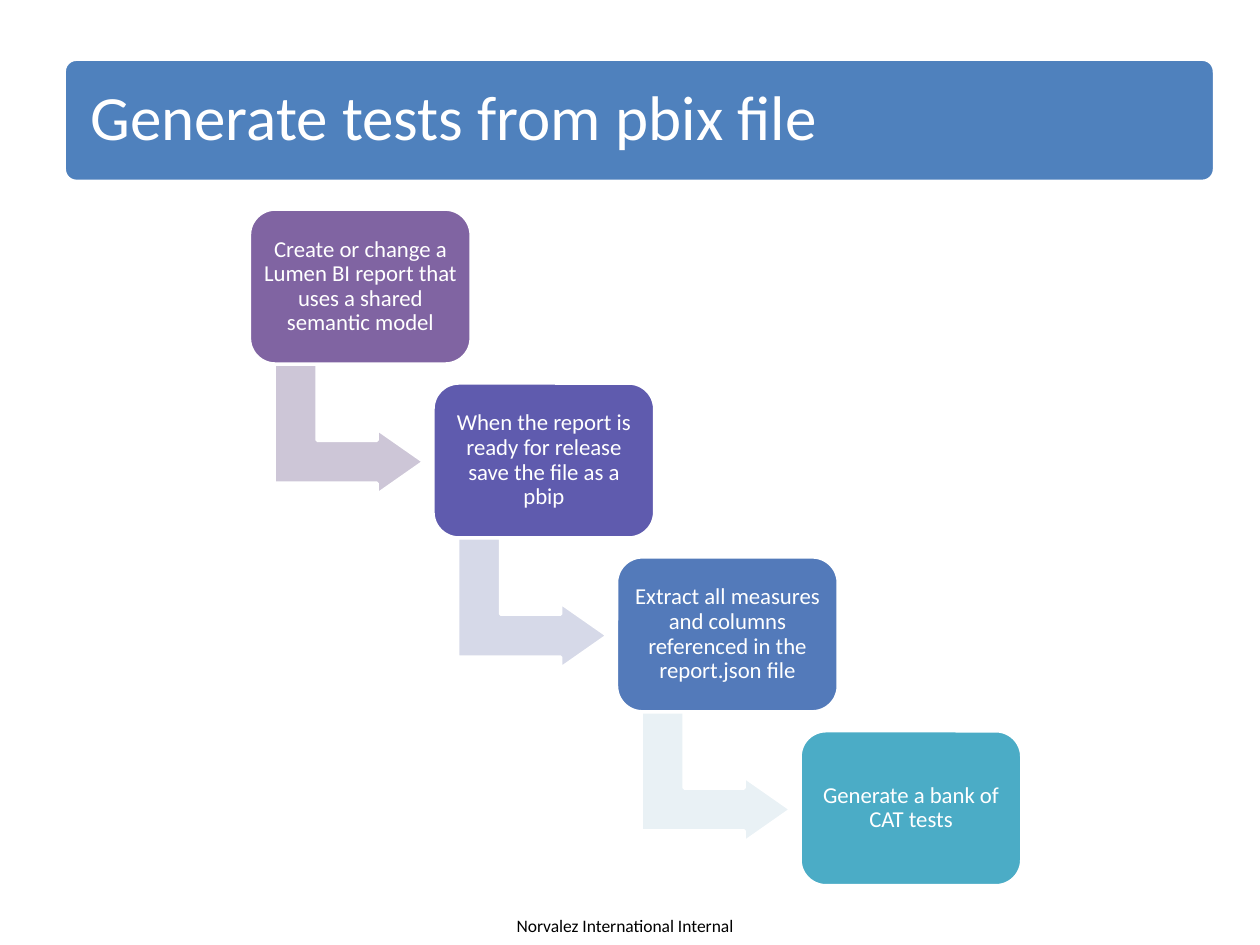
from dataclasses import dataclass

from pptx import Presentation
from pptx.dml.color import RGBColor
from pptx.enum.shapes import MSO_SHAPE
from pptx.enum.text import MSO_ANCHOR, PP_ALIGN
from pptx.util import Inches, Pt


@dataclass(frozen=True)
class Theme:
    font: str = "Calibri"
    white: str = "FFFFFF"
    black: str = "000000"
    banner: str = "4F81BD"
    title_size: int = 36
    step_size: int = 13
    footer_size: int = 10
    outline: int = 2


THEME = Theme()

# Wording, box colour, colour of the arrow to the next step
STEPS = [
    ("Create or change a Lumen BI report that uses a shared semantic model", "8064A2", "CDC6D7"),
    ("When the report is ready for release save the file as a pbip", "5F5BAE", "D6D9E8"),
    ("Extract all measures and columns referenced in the report.json file", "537ABA", "E9F1F5"),
    ("Generate a bank of CAT tests", "4BACC6", None),
]


def add_block(page, kind, box, color, adjustments):
    """Add a filled shape with the white outline shared by all blocks."""
    block = page.shapes.add_shape(kind, *map(Inches, box))
    block.shadow.inherit = False
    block.fill.solid()
    block.fill.fore_color.rgb = RGBColor.from_string(color)
    block.line.color.rgb = RGBColor.from_string(THEME.white)
    block.line.width = Pt(THEME.outline)
    for index, value in enumerate(adjustments):
        block.adjustments[index] = value
    return block


def write(shape, text, size, color, align, side_inset=0.05, inset=0.05):
    frame = shape.text_frame
    frame.word_wrap = True
    frame.vertical_anchor = MSO_ANCHOR.MIDDLE
    frame.margin_left = frame.margin_right = Inches(side_inset)
    frame.margin_top = frame.margin_bottom = Inches(inset)
    para = frame.paragraphs[0]
    para.text = text
    para.alignment = align
    para.line_spacing = 0.9
    para.font.name = THEME.font
    para.font.size = Pt(size)
    para.font.color.rgb = RGBColor.from_string(color)


def add_banner(page, box, text):
    banner = add_block(page, MSO_SHAPE.ROUNDED_RECTANGLE, box, THEME.banner, [0.1])
    write(banner, text, THEME.title_size, THEME.white, PP_ALIGN.LEFT, side_inset=0.18)


def add_staircase(page, box, steps):
    """Place the steps evenly from the top left to the bottom right of the box."""
    left, top, width, height = box
    step_width, step_height = 1.76, 1.23
    arrow_width, arrow_height = 1.04, 1.19
    across = (width - step_width) / (len(steps) - 1)
    down = (height - step_height) / (len(steps) - 1)
    for index, (text, color, arrow_color) in enumerate(steps):
        x, y = left + index * across, top + index * down
        if arrow_color:
            arrow_box = (x + 0.27, y + 1.15, arrow_width, arrow_height)
            arrow = add_block(page, MSO_SHAPE.BENT_UP_ARROW, arrow_box, arrow_color,
                              [0.328, 0.25, 0.358])
            arrow.rotation = 90
        step = add_block(page, MSO_SHAPE.ROUNDED_RECTANGLE, (x, y, step_width, step_height),
                         color, [0.167])
        write(step, text, THEME.step_size, THEME.white, PP_ALIGN.CENTER)


def add_footer(page, box, text):
    footer = page.shapes.add_textbox(*map(Inches, box))
    write(footer, text, THEME.footer_size, THEME.black, PP_ALIGN.LEFT, side_inset=0, inset=0)
    footer.text_frame.paragraphs[0].line_spacing = 1.0


def main():
    deck = Presentation()
    deck.slide_width, deck.slide_height = Inches(10), Inches(7.5)
    page = deck.slides.add_slide(deck.slide_layouts[6])
    add_footer(page, (4.1, 7.26, 1.83, 0.17), "Norvalez International Internal")
    add_banner(page, (0.51, 0.47, 9.13, 0.97), "Generate tests from pbix file")
    add_staircase(page, (1.98, 1.66, 6.13, 5.37), STEPS)
    deck.save("out.pptx")


if __name__ == "__main__":
    main()
